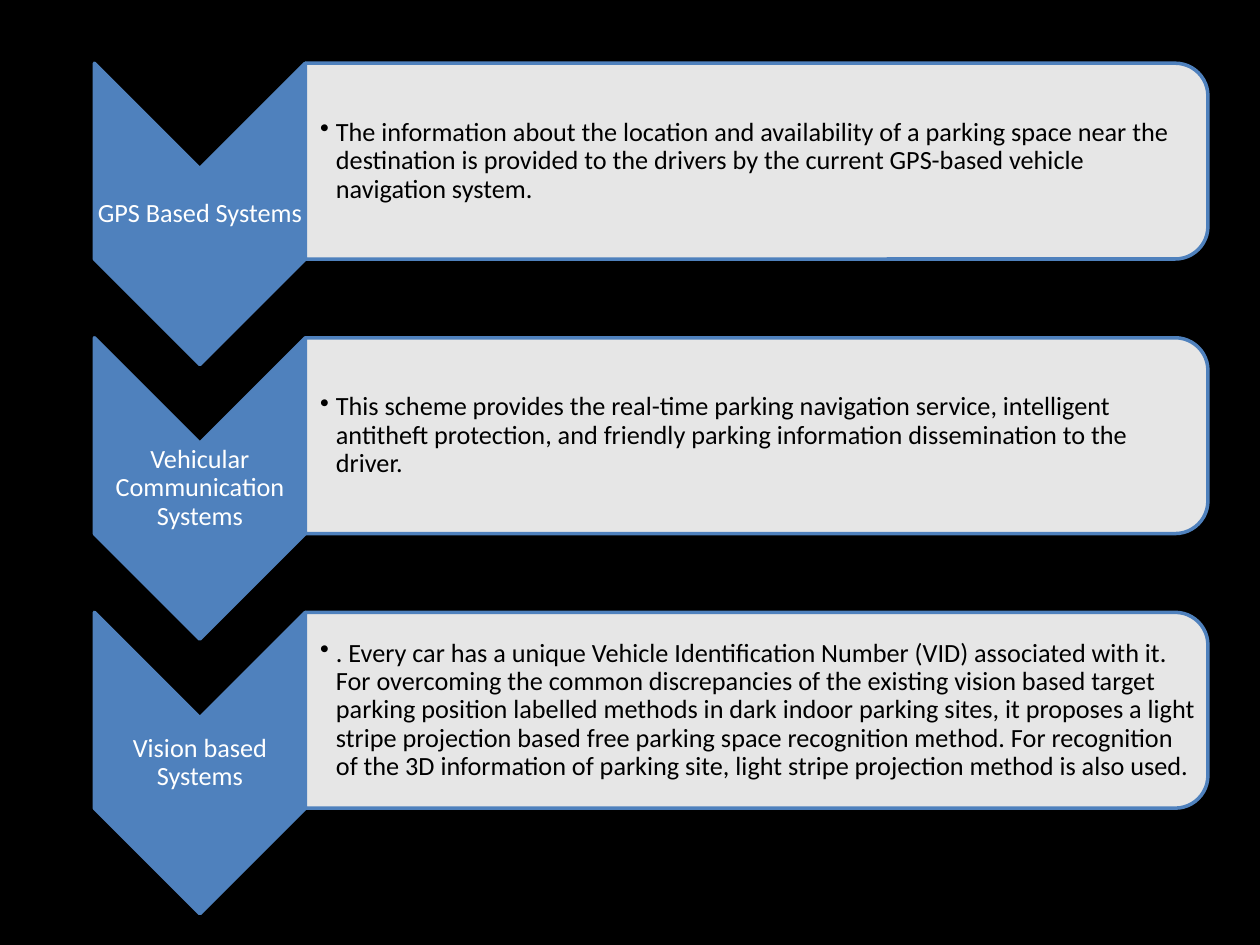
import pptx
import pptx.dml.color
import pptx.enum.shapes
import pptx.enum.text
import pptx.oxml
import pptx.oxml.ns
import pptx.util

Pt = pptx.util.Pt
RGBColor = pptx.dml.color.RGBColor
MSO_SHAPE = pptx.enum.shapes.MSO_SHAPE
PP_ALIGN = pptx.enum.text.PP_ALIGN
NAMESPACE = pptx.oxml.ns.nsdecls("a")

COLORS = {"background": "000000", "accent": "4F81BD", "panel": "FFFFFF",
          "label": "FFFFFF", "description": "000000"}
SYSTEMS = [
    ("GPS Based Systems",
     "The information about the location and availability of a parking space near the "
     "destination is provided to the drivers by the current GPS-based vehicle navigation system."),
    ("Vehicular Communication Systems",
     "This scheme provides the real-time parking navigation service, intelligent antitheft "
     "protection, and friendly parking information dissemination to the driver."),
    ("Vision based Systems",
     ". Every car has a unique Vehicle Identification Number (VID) associated with it. For "
     "overcoming the common discrepancies of the existing vision based target parking position "
     "labelled methods in dark indoor parking sites, it proposes a light stripe projection based "
     "free parking space recognition method. For recognition of the 3D information of parking "
     "site, light stripe projection method is also used."),
]
ROW_STEP = 156.9
FRAME_FORMAT = {"word_wrap": True, "vertical_anchor": pptx.enum.text.MSO_ANCHOR.MIDDLE,
                "margin_top": Pt(0.7), "margin_bottom": Pt(0.7), "margin_right": Pt(0.7)}


def add_turned_shape(slide, kind, center_x, center_y, width, height, color):
    shape = slide.shapes.add_shape(kind, Pt(center_x - width / 2), Pt(center_y - height / 2),
                                   Pt(width), Pt(height))
    shape.rotation = 90
    shape.shadow.inherit = False
    shape.fill.solid()
    shape.fill.fore_color.rgb = RGBColor.from_string(COLORS[color])
    shape.line.color.rgb = RGBColor.from_string(COLORS["accent"])
    shape.line.width = Pt(2)
    return shape


def add_text(slide, text, left, top, width, height, margin_left, color, alignment, bulleted):
    text_box = slide.shapes.add_textbox(Pt(left), Pt(top), Pt(width), Pt(height))
    frame = text_box.text_frame
    for name, value in FRAME_FORMAT.items():
        setattr(frame, name, value)
    frame.margin_left = Pt(margin_left)
    paragraph = frame.paragraphs[0]
    paragraph.alignment = alignment
    paragraph.line_spacing = 0.9
    if bulleted:
        properties = paragraph._p.get_or_add_pPr()
        properties.set("marL", str(Pt(9)))
        properties.set("indent", str(-Pt(9)))
        properties.append(pptx.oxml.parse_xml(f'<a:buChar {NAMESPACE} char="•"/>'))
    run = paragraph.add_run()
    run.text = text
    for name, value in {"name": "Calibri", "size": Pt(15)}.items():
        setattr(run.font, name, value)
    run.font.color.rgb = RGBColor.from_string(COLORS[color])


presentation = pptx.Presentation()
presentation.slide_width = Pt(720)
presentation.slide_height = Pt(540)
slide = presentation.slides.add_slide(presentation.slide_layouts[6])
slide.background.fill.solid()
slide.background.fill.fore_color.rgb = RGBColor.from_string(COLORS["background"])

for row, (label, description) in enumerate(SYSTEMS):
    offset = row * ROW_STEP
    add_turned_shape(slide, MSO_SHAPE.CHEVRON, 114.2, 122.2 + offset, 172.2, 120.5, "accent")
    add_text(slide, label, 54, 96.4 + offset, 120.5, 51.7, 0.7, "label", PP_ALIGN.CENTER, False)
    panel = add_turned_shape(slide, MSO_SHAPE.ROUND_2_SAME_RECTANGLE,
                             432.4, 92.1 + offset, 111.9, 515.7, "panel")
    panel_color = panel.fill._xPr.solidFill.srgbClr
    panel_color.append(pptx.oxml.parse_xml(f'<a:alpha {NAMESPACE} val="90000"/>'))
    add_text(slide, description, 174.4, 41.6 + offset, 510.3, 101, 8.6, "description",
             PP_ALIGN.LEFT, True)

presentation.save("out.pptx")
